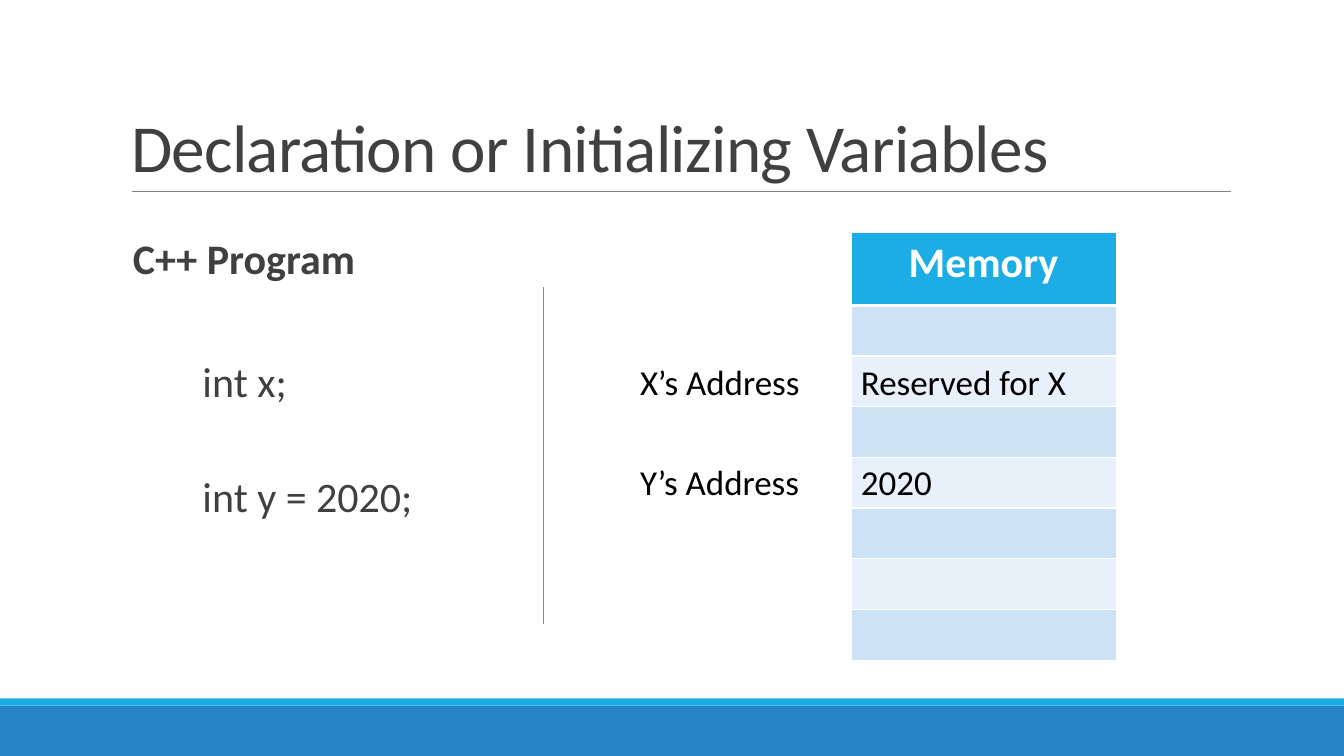
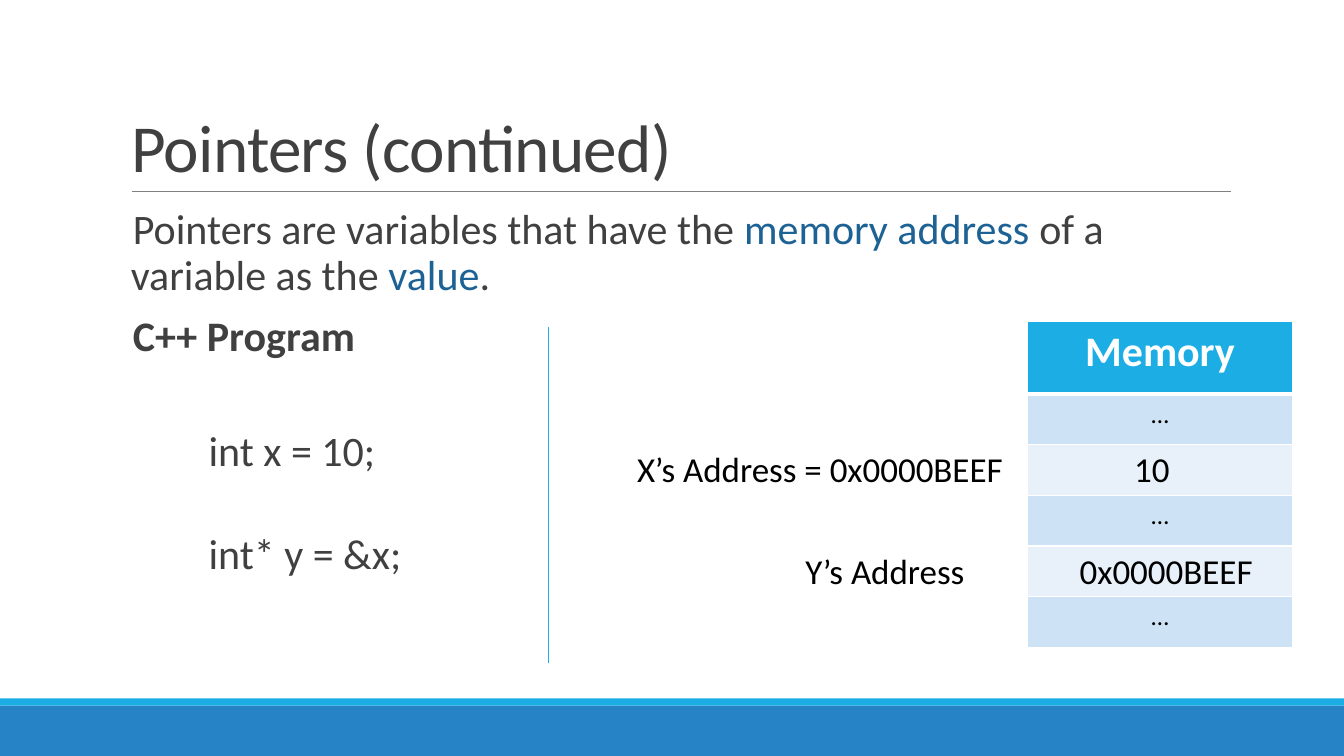
from pptx import Presentation
from pptx.dml.color import RGBColor
from pptx.enum import shapes, text
from pptx.oxml import parse_xml
from pptx.oxml.ns import nsdecls
from pptx.util import Inches, Pt

HUES = {"ink": "404040", "black": "000000", "white": "FFFFFF", "sky": "1CADE4",
        "blue": "2683C6", "link": "1D6294", "rule": "808080",
        "odd": "CDE3F5", "even": "E8F1FA"}


def hue(name):
    return RGBColor.from_string(HUES[name])


def write(frame, parts, size=30, color="ink", bold=False, align="LEFT",
          gap=None, track=None, indent=None, tab=None):
    para = frame.paragraphs[0]
    para.alignment = getattr(text.PP_ALIGN, align)
    if gap:
        para.line_spacing = gap
    props = para._p.get_or_add_pPr()
    if indent:
        props.set("indent", str(Inches(indent)))
    if tab:
        props.append(parse_xml(f'<a:tabLst {nsdecls("a")}>'
                               f'<a:tab pos="{Inches(tab)}" algn="l"/></a:tabLst>'))
    if isinstance(parts, str):
        parts = [(parts, color)]
    for words, tone in parts:
        run = para.add_run()
        run.text = words
        font = run.font
        font.name, font.size, font.bold = "Calibri", Pt(size), bold
        font.color.rgb = hue(tone)
        if track is not None:
            run._r.get_or_add_rPr().set("spc", str(track))


class Deck:
    def __init__(self):
        self.file = Presentation()
        self.file.slide_width = Inches(13.33)
        self.file.slide_height = Inches(7.5)

    def page(self, title):
        self.slide = self.file.slides.add_slide(self.file.slide_layouts[5])
        self.band(7, 0.5, "blue")
        self.band(6.93, 0.07, "sky")
        self.line(1.31, 1.9, 12.21, 1.9)
        head = self.slide.shapes.title
        head.left, head.top = Inches(1.2), Inches(0.31)
        head.width, head.height = Inches(11), Inches(1.59)
        frame = head.text_frame
        frame.auto_size = text.MSO_AUTO_SIZE.NONE
        frame.vertical_anchor = text.MSO_ANCHOR.BOTTOM
        write(frame, title, size=48, gap=0.85, track=-50)

    def band(self, top, high, color):
        bar = self.slide.shapes.add_shape(shapes.MSO_SHAPE.RECTANGLE, 0, Inches(top),
                                          self.file.slide_width, Inches(high))
        bar.shadow.inherit = False
        bar.fill.solid()
        bar.fill.fore_color.rgb = hue(color)
        bar.line.fill.background()

    def line(self, x1, y1, x2, y2, color="rule", width=0.5):
        rule = self.slide.shapes.add_connector(
            shapes.MSO_CONNECTOR.STRAIGHT, *map(Inches, (x1, y1, x2, y2)))
        rule.line.color.rgb = hue(color)
        rule.line.width = Pt(width)
        rule._element.spPr.append(parse_xml(f"<a:effectLst {nsdecls('a')}/>"))

    def text(self, left, top, wide, high, parts, **style):
        box = self.slide.shapes.add_textbox(*map(Inches, (left, top, wide, high)))
        box.text_frame.word_wrap = True
        write(box.text_frame, parts, **style)
        return box.text_frame

    def body(self, left, top, parts, wide=3.36, high=0.91, bold=False):
        frame = self.text(left, top, wide, high, parts, bold=bold, gap=0.9, indent=0.02)
        frame.margin_right = 0

    def label(self, left, top, words, tab, wide=5.95):
        self.text(left, top, wide, 0.52, words, size=25, color="black", tab=tab)

    def edges(self, cell, top, bottom):
        props = cell._tc.get_or_add_tcPr()
        for spot, (side, width) in enumerate(zip("LRTB", (1, 1, top, bottom))):
            props.insert(spot, parse_xml(
                f'<a:ln{side} {nsdecls("a")} w="{Pt(width)}"><a:solidFill>'
                f'<a:srgbClr val="{HUES["white"]}"/></a:solidFill></a:ln{side}>'))

    def memory(self, left, top, high, rows):
        grid = self.slide.shapes.add_table(
            len(rows) + 1, 1, *map(Inches, (left, top, 2.63, high))).table
        step = (high - 0.72) / len(rows)
        for row, words in enumerate(["Memory"] + rows):
            grid.rows[row].height = Inches(step if row else 0.72)
            cell = grid.cell(row, 0)
            cell.fill.solid()
            cell.fill.fore_color.rgb = hue(("odd" if row % 2 else "even") if row else "sky")
            self.edges(cell, 3 if row == 1 else 1, 1 if row else 3)
            if words:
                write(cell.text_frame, words, size=18 if row else 30, bold=not row,
                      color="black" if row else "white", align="CENTER")


deck = Deck()

deck.page("Declaration or Initializing Variables")
deck.body(1.2, 2.31, "C++ Program", bold=True)
deck.body(1.89, 3.53, "int x;")
deck.body(1.89, 4.68, "int y = 2020;")
deck.line(5.39, 2.85, 5.39, 6.19, color="sky", width=1)
deck.memory(8.44, 2.31, 4.24, [""] * 7)
deck.label(6.25, 3.53, "X’s Address\tReserved for X", tab=2.19)
deck.label(6.25, 4.52, "Y’s Address\t2020", tab=2.19)

deck.page("Pointers (continued)")
deck.body(1.2, 2.02, [("Pointers are variables that have the ", "ink"),
                      ("memory address", "link"), (" of a variable as the ", "ink"),
                      ("value", "link"), (".", "ink")], wide=11, high=1)
deck.body(1.2, 3.08, "C++ Program", bold=True)
deck.body(1.95, 4.22, "int x = 10;")
deck.body(1.95, 5.24, "int* y = &x;")
deck.line(5.44, 3.24, 5.44, 6.58, color="sky", width=1.25)
deck.memory(10.19, 3.19, 3.23, ["…", "", "…", "", "…"])
deck.label(6.22, 4.39, "X’s Address = 0x0000BEEF\t10", tab=4.93)
deck.label(7.89, 5.4, "Y’s Address\t0x0000BEEF", tab=2.72, wide=5.4)

deck.file.save("out.pptx")
